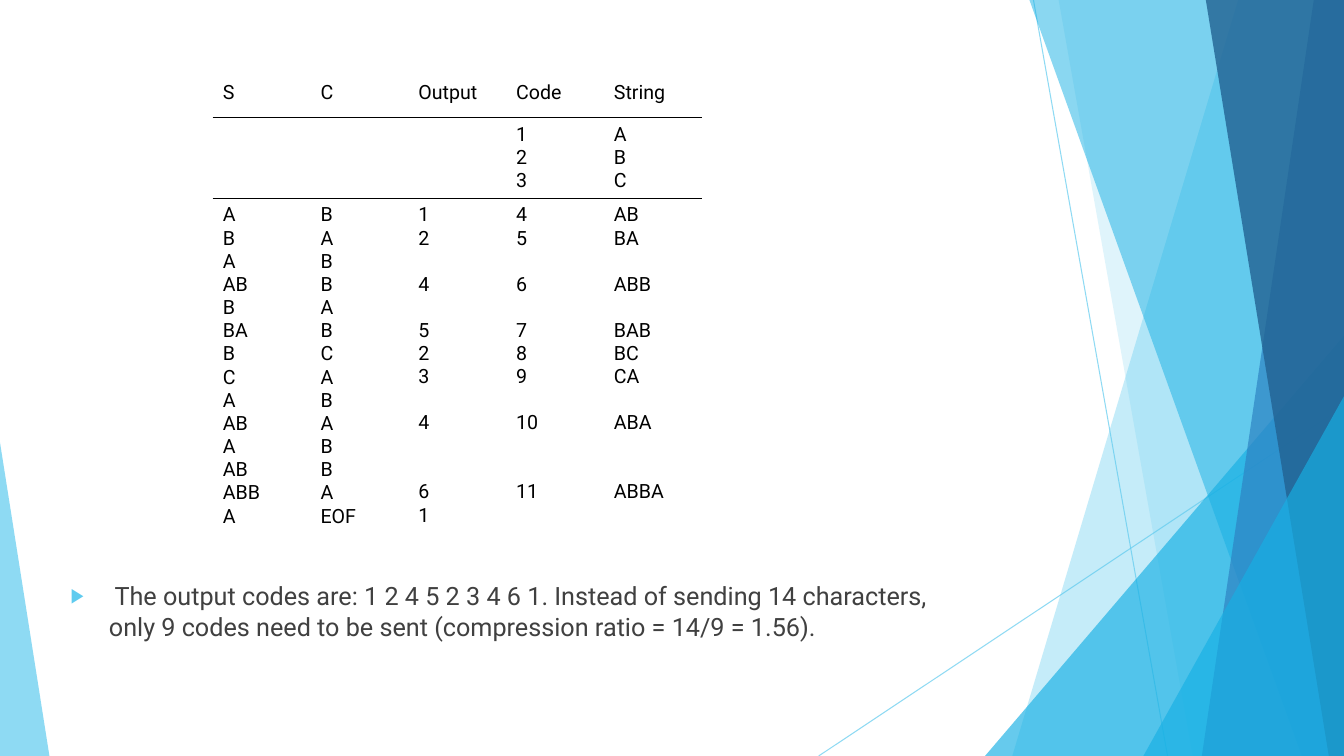
"""Build a slide tracing LZW compression in a table, with its compression ratio."""
import itertools

import pptx
import pptx.dml.color
import pptx.enum.shapes
import pptx.enum.text
import pptx.oxml
import pptx.oxml.ns
import pptx.util
from pptx.util import Inches

FONT = "Roboto"
SKY, CYAN, BLUE, NAVY = "5FCBEF", "17B0E4", "2E83C3", "226292"
W, H = 13.33, 7.5

HEADER = [("S", "C", "Output", "Code", "String")]
INITIAL = [("", "", "", "1", "A"), ("", "", "", "2", "B"), ("", "", "", "3", "C")]
STEPS = [
    ("A", "B", "1", "4", "AB"),
    ("B", "A", "2", "5", "BA"),
    ("A", "B", "", "", ""),
    ("AB", "B", "4", "6", "ABB"),
    ("B", "A", "", "", ""),
    ("BA", "B", "5", "7", "BAB"),
    ("B", "C", "2", "8", "BC"),
    ("C", "A", "3", "9", "CA"),
    ("A", "B", "", "", ""),
    ("AB", "A", "4", "10", "ABA"),
    ("A", "B", "", "", ""),
    ("AB", "B", "", "", ""),
    ("ABB", "A", "6", "11", "ABBA"),
    ("A", "EOF", "1", "", ""),
]
SECTIONS = [(HEADER, 0.41), (INITIAL, 0.8), (STEPS, 3.37)]
TABLE_LEFT, TABLE_TOP, COL_W = 2.11, 0.76, 0.97
LINE_PT = 16.4

SUMMARY = (" The output codes are: 1 2 4 5 2 3 4 6 1. Instead of sending 14 characters, "
           "only 9 codes need to be sent (compression ratio = 14/9 = 1.56).")

RAYS = [(10.25, 0, 11.58, H), (W, 4.03, 8.12, H)]
# Bands reach the right edge; each is (top x, bottom x, colour, opacity).
BANDS_BACK = [(12.28, 10.04, SKY, 36), (10.5, 11.83, SKY, 20)]
BANDS_FRONT = [(10.21, 12.91, CYAN, 50), (13.03, 11.92, BLUE, 70), (11.96, 13.18, NAVY, 80)]
WEDGE_BACK = (9.77, 3.33, 3.56, 1, CYAN, 66)
WEDGES_FRONT = [(11.34, 3.93, 1.99, 1, CYAN, 66), (0, 4.39, 0.49, 0, SKY, 70)]


def rgb(color):
    return pptx.dml.color.RGBColor.from_string(color)


def add_xml(parent, xml):
    el = pptx.oxml.parse_xml(xml.replace(">", f" {pptx.oxml.ns.nsdecls('a')}>", 1)
                             if "/>" not in xml.split(">", 1)[0] + ">"
                             else xml.replace("/>", f" {pptx.oxml.ns.nsdecls('a')}/>", 1))
    parent.append(el)


def set_alpha(element, opacity):
    clr = next(element.iter(pptx.oxml.ns.qn("a:srgbClr")))
    add_xml(clr, f'<a:alpha val="{opacity * 1000}"/>')


def paint(shape, color, opacity):
    shape.shadow.inherit = False
    shape.fill.solid()
    shape.fill.fore_color.rgb = rgb(color)
    set_alpha(shape.fill._xPr, opacity)
    shape.line.fill.background()


def add_ray(s, x1, y1, x2, y2):
    line = s.shapes.add_connector(pptx.enum.shapes.MSO_CONNECTOR.STRAIGHT,
                                  Inches(x1), Inches(y1), Inches(x2), Inches(y2))
    line.line.color.rgb = rgb(SKY)
    line.line.width = pptx.util.Pt(0.75)
    sp_pr = line._element.spPr
    set_alpha(sp_pr, 70)
    add_xml(sp_pr, "<a:effectLst/>")


def add_band(s, top_x, bottom_x, color, opacity):
    fb = s.shapes.build_freeform(Inches(top_x), 0)
    fb.add_line_segments([(Inches(x), Inches(y)) for x, y in
                          [(W, 0), (W, H), (bottom_x, H)]], close=True)
    paint(fb.convert_to_shape(), color, opacity)


def add_wedge(s, left, top, width, apex, color, opacity):
    sp = s.shapes.add_shape(pptx.enum.shapes.MSO_SHAPE.ISOSCELES_TRIANGLE,
                            Inches(left), Inches(top), Inches(width), Inches(H - top))
    sp.adjustments[0] = apex
    paint(sp, color, opacity)


def add_run(p, text, size, color):
    r = p.add_run()
    r.text = text
    r.font.size = pptx.util.Pt(size)
    r.font.name = FONT
    r.font.color.rgb = rgb(color)


def fill_cell(cell, lines, edges):
    for edge in edges:
        add_xml(cell._tc.get_or_add_tcPr(),
                f'<a:{edge} w="12700"><a:solidFill><a:srgbClr val="000000"/>'
                f'</a:solidFill></a:{edge}>')
    cell.fill.background()
    tf = cell.text_frame
    p, gap = tf.paragraphs[0], 0
    for text in lines:
        if not text:
            gap += 1
            continue
        if p.runs:
            p = tf.add_paragraph()
            p.space_before = pptx.util.Pt(LINE_PT * gap)
        add_run(p, text, 14, "000000")
        gap = 0


def add_trace(s):
    cols = len(HEADER[0])
    height = sum(h for _, h in SECTIONS)
    table = s.shapes.add_table(len(SECTIONS), cols, Inches(TABLE_LEFT), Inches(TABLE_TOP),
                               Inches(COL_W * cols), Inches(height)).table
    table.first_row = table.horz_banding = False
    style = next(table._tbl.iter(pptx.oxml.ns.qn("a:tableStyleId")))
    style.text = "{2D5ABB26-0587-4C30-8999-92F81FD0307C}"
    for col in table.columns:
        col.width = Inches(COL_W)
    last = len(SECTIONS) - 1
    for i, (rows, row_h) in enumerate(SECTIONS):
        table.rows[i].height = Inches(row_h)
        edges = ["lnT"] * (i > 0) + ["lnB"] * (i < last)
        for j, lines in enumerate(zip(*rows)):
            fill_cell(table.cell(i, j), lines, edges)


def add_summary(body):
    body.left, body.top, body.width, body.height = map(Inches, (0.6, 5.71, 9, 0.78))
    tf = body.text_frame
    tf.word_wrap = True
    tf.auto_size = pptx.enum.text.MSO_AUTO_SIZE.NONE
    tf.vertical_anchor = pptx.enum.text.MSO_ANCHOR.TOP
    p = tf.paragraphs[0]
    p.space_before = pptx.util.Pt(0)
    p_pr = p._p.get_or_add_pPr()
    p_pr.set("marL", str(Inches(0.38)))
    p_pr.set("indent", str(Inches(-0.38)))
    add_xml(p_pr, f'<a:buClr><a:srgbClr val="{SKY}"/></a:buClr>')
    add_xml(p_pr, '<a:buSzPct val="80000"/>')
    add_xml(p_pr, '<a:buChar char="▶"/>')
    add_run(p, SUMMARY, 18, "404040")


def main():
    prs = pptx.Presentation()
    prs.slide_width, prs.slide_height = Inches(W), Inches(H)
    s = prs.slides.add_slide(prs.slide_layouts[1])
    title = s.shapes.title._element
    title.getparent().remove(title)
    for ray in RAYS:
        add_ray(s, *ray)
    for band in BANDS_BACK:
        add_band(s, *band)
    add_wedge(s, *WEDGE_BACK)
    for band in BANDS_FRONT:
        add_band(s, *band)
    for wedge in WEDGES_FRONT:
        add_wedge(s, *wedge)
    add_summary(s.placeholders[1])
    add_trace(s)
    prs.save("out.pptx")


if __name__ == "__main__":
    main()
